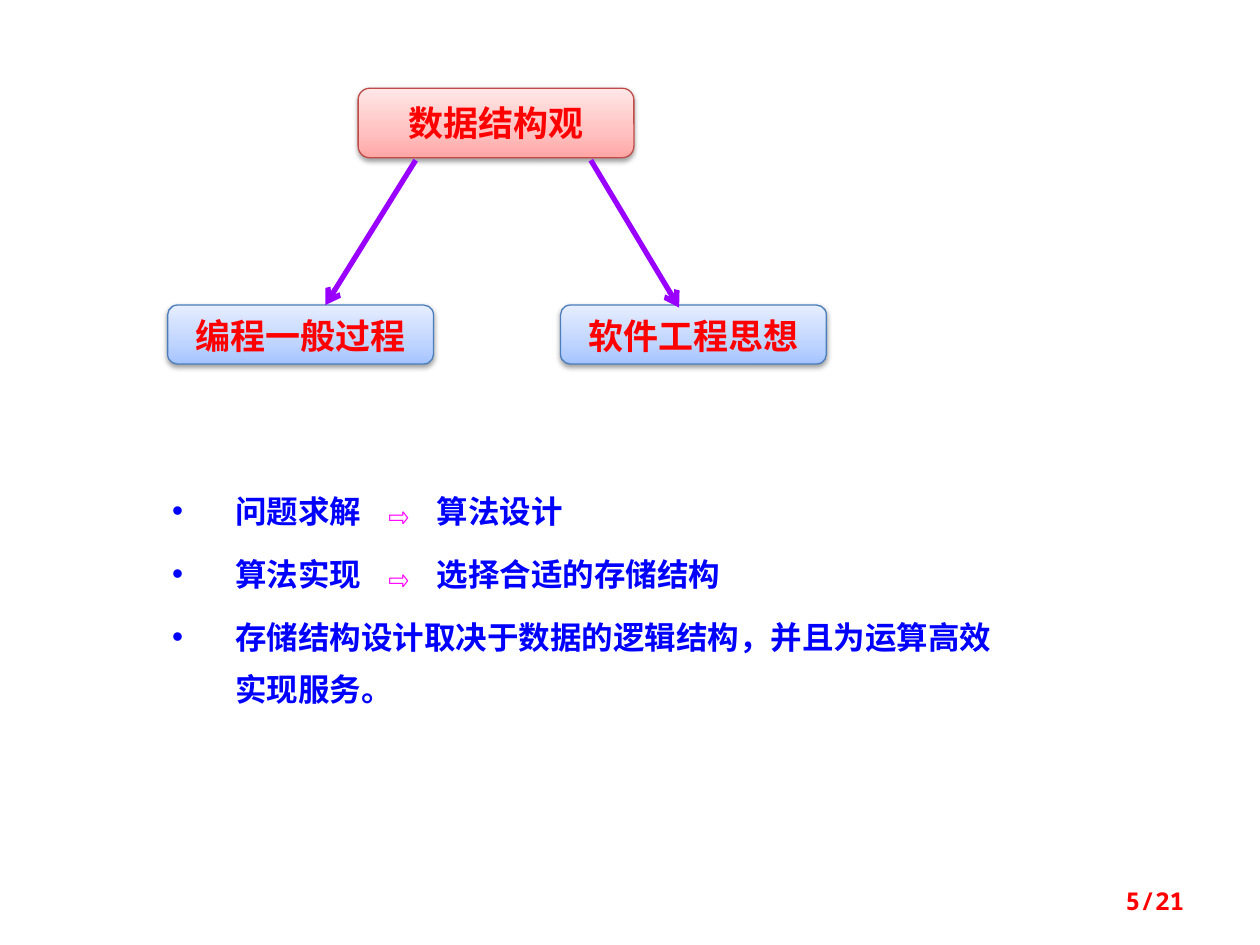
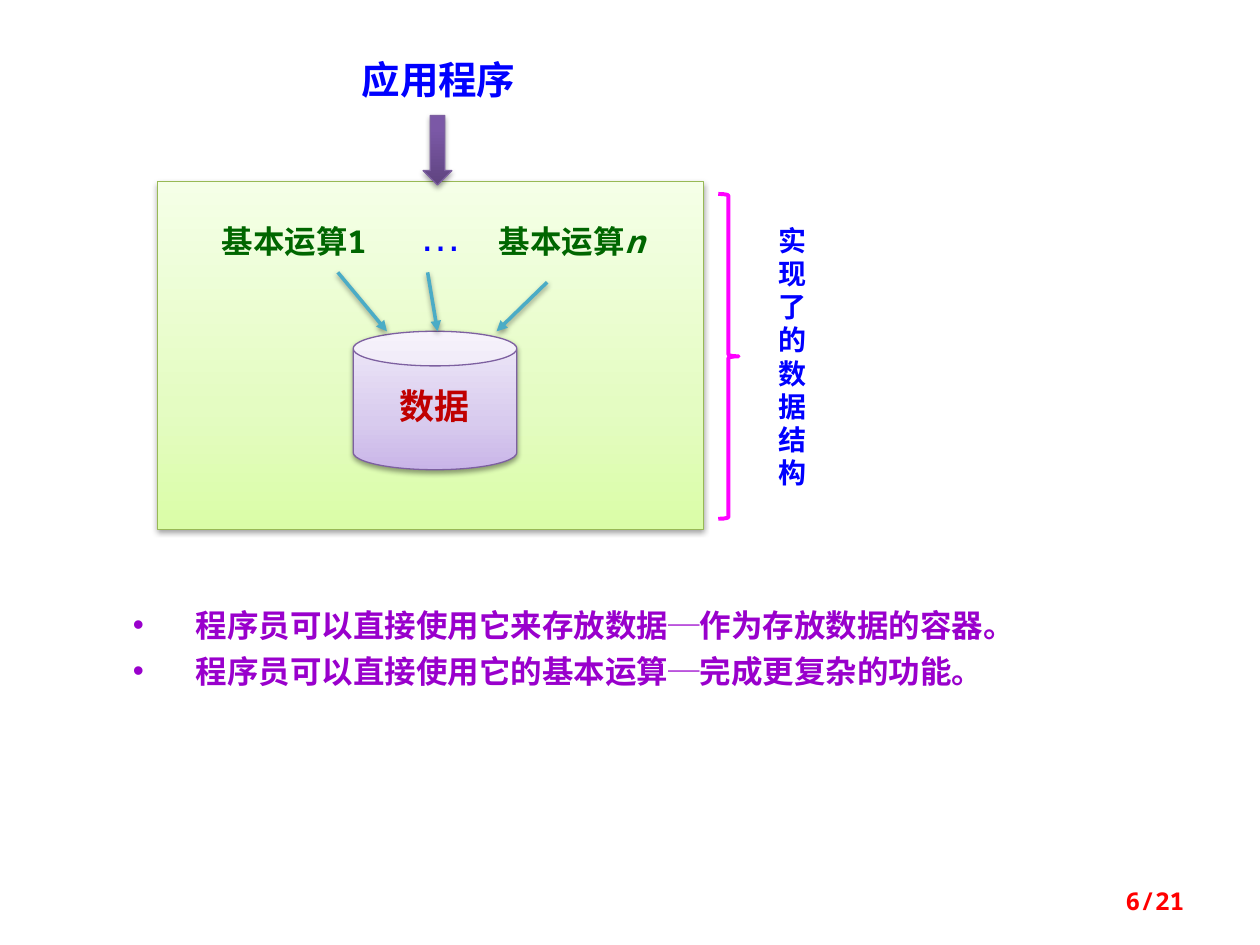
from lxml.etree import SubElement
from pptx import Presentation
from pptx.dml.color import RGBColor as RGB
from pptx.enum.shapes import MSO_CONNECTOR, MSO_SHAPE as SHAPE
from pptx.enum.text import MSO_ANCHOR as ANCHOR, PP_ALIGN as ALIGN
from pptx.oxml.ns import qn
from pptx.util import Cm, Pt

COLORS = {
    "white": "FFFFFF",
    "red": "FF0000",
    "dark_red": "C00000",
    "blue": "0000FF",
    "magenta": "FF00FF",
    "violet": "9900FF",
    "purple": "9900CC",
    "green": "006600",
    "teal": "4BACC6",
    "shadow": "000000",
}
GRADIENTS = {
    "red": ("BF4C48", [(0, "FFA6A5"), (35, "FFC0BF"), (100, "FFE7E7")]),
    "blue": ("4B7EBC", [(0, "A4C4FF"), (35, "BFD4FF"), (100, "E6EEFF")]),
    "green": ("98B955", [(0, "DAFDA7"), (35, "E4FCC2"), (100, "F5FFE7")]),
    "lilac": ("7D60A0", [(0, "C9B5E8"), (35, "D8CBEE"), (100, "F0EAF9")]),
    "plum": ("7D60A0", [(0, "5F4480"), (80, "7B58A6"), (100, "7C57A8")]),
}
SANS, SANS_JP, MONO = "Noto Sans CJK SC", "Noto Sans CJK JP", "Noto Sans Mono"
PAGE_COUNT = 21


def rgb(name):
    return RGB.from_string(COLORS[name])


def add_shadow(effects):
    shadow = SubElement(effects, qn("a:outerShdw"), blurRad="39400", dist="20300",
                        dir="5400000", rotWithShape="0")
    color = SubElement(shadow, qn("a:srgbClr"), val=COLORS["shadow"])
    SubElement(color, qn("a:alpha"), val="38000")


def add_box(slide, kind, x, y, w, h):
    sp = slide.shapes.add_shape(kind, Cm(x), Cm(y), Cm(w), Cm(h))
    sp.shadow.inherit = False
    return sp


def add_gradient_box(slide, kind, x, y, w, h, gradient):
    sp = add_box(slide, kind, x, y, w, h)
    outline, stops = GRADIENTS[gradient]
    sp.fill.gradient()
    sp.fill.gradient_angle = 90
    sp_pr = sp._element.spPr
    stop_list = sp_pr.find(qn("a:gradFill")).find(qn("a:gsLst"))
    for stop in list(stop_list):
        stop_list.remove(stop)
    for pos, color in stops:
        stop = SubElement(stop_list, qn("a:gs"), pos=str(pos * 1000))
        SubElement(stop, qn("a:srgbClr"), val=color)
    sp.line.color.rgb = RGB.from_string(outline)
    sp.line.width = Pt(0.75)
    add_shadow(sp_pr.find(qn("a:effectLst")))
    return sp


def add_arrow(slide, x1, y1, x2, y2, color, width, head, shadow=False):
    line = slide.shapes.add_connector(MSO_CONNECTOR.STRAIGHT, Cm(x1), Cm(y1), Cm(x2), Cm(y2))
    line.line.color.rgb = rgb(color)
    line.line.width = Pt(width)
    sp_pr = line._element.spPr
    SubElement(sp_pr.find(qn("a:ln")), qn("a:tailEnd"), type=head)
    effects = SubElement(sp_pr, qn("a:effectLst"))
    if shadow:
        add_shadow(effects)


def write(sp, paragraphs, size, color, font=SANS, bold=True, align=ALIGN.CENTER,
          anchor=ANCHOR.TOP, spacing=None, before=0, bullet=False, tracking=0):
    tf = sp.text_frame
    tf.word_wrap = True
    tf.vertical_anchor = anchor
    for i, runs in enumerate(paragraphs):
        p = tf.add_paragraph() if i else tf.paragraphs[0]
        p.alignment = align
        p.line_spacing = spacing
        p.space_before = Pt(before if i else 0)
        p_pr = p._p.get_or_add_pPr()
        if bullet:
            p_pr.set("marL", str(Cm(1.27)))
            p_pr.set("indent", str(-Cm(1.27)))
            SubElement(p_pr, qn("a:buFont"), typeface="Arial")
            SubElement(p_pr, qn("a:buChar"), char="•")
        p.font.size = Pt(size)
        p.font.bold = bold
        p.font.color.rgb = rgb(color)
        p.font.name = font
        def_rpr = p_pr.find(qn("a:defRPr"))
        SubElement(def_rpr, qn("a:ea"), typeface=font)
        if tracking:
            def_rpr.set("spc", str(tracking * 100))
        for text, accent, italic in runs:
            r = p.add_run()
            r.text = text
            if accent:
                r.font.color.rgb = rgb(accent)
            if italic:
                r.font.italic = True
    return tf


def plain(text):
    return [(text, None, False)]


def implies(cause, result):
    return [(cause + " ", None, False), ("⇨", "magenta", False), (" " + result, None, False)]


def add_label(slide, x, y, w, h, runs, size, color, **style):
    sp = slide.shapes.add_textbox(Cm(x), Cm(y), Cm(w), Cm(h))
    return write(sp, [runs], size, color, **style)


def add_bullets(slide, x, y, w, h, paragraphs, color, **style):
    sp = add_box(slide, SHAPE.RECTANGLE, x, y, w, h)
    sp.fill.solid()
    sp.fill.fore_color.rgb = rgb("white")
    sp.line.fill.background()
    tf = write(sp, paragraphs, 18, color, align=ALIGN.LEFT, bullet=True, **style)
    tf.margin_left = Cm(0.5)
    tf.margin_top = tf.margin_bottom = Cm(0.3)


def add_page_number(slide, number):
    add_label(slide, 18.21, 17.65, 5.92, 1.02, plain(f"{number}/{PAGE_COUNT}"), 14, "red",
              font=MONO, align=ALIGN.RIGHT, anchor=ANCHOR.MIDDLE)


def add_view_tree(slide, x, y):
    root = add_gradient_box(slide, SHAPE.ROUNDED_RECTANGLE, x + 3.84, y, 5.56, 1.4, "red")
    write(root, [plain("数据结构观")], 20, "red").margin_top = Cm(0.2)
    for i, text in enumerate(["编程一般过程", "软件工程思想"]):
        branch = add_gradient_box(slide, SHAPE.ROUNDED_RECTANGLE, x + i * 7.92, y + 4.37,
                                  5.36, 1.19, "blue")
        write(branch, [plain(text)], 20, "red")
    for x1, x2, y2 in [(5, 3.18, 4.37), (8.53, 10.31, 4.42)]:
        add_arrow(slide, x + x1, y + 1.45, x + x2, y + y2, "violet", 3, "arrow")


def add_container(slide, x, y, w, h):
    add_gradient_box(slide, SHAPE.RECTANGLE, x, y, w, h, "green")
    store = add_gradient_box(slide, SHAPE.CAN, x + 3.94, y + 3.02, 3.3, 2.79, "lilac")
    write(store, [plain("数据")], 20, "dark_red", anchor=ANCHOR.MIDDLE,
          spacing=0.8).word_wrap = False
    for dx, mark, italic in [(1.04, "1", False), (6.63, "n", True)]:
        runs = plain("基本运算") + [(mark, None, italic)]
        add_label(slide, x + dx, y + 0.84, 3.81, 1.02, runs, 18, "green",
                  font=MONO, align=ALIGN.LEFT, spacing=0.8)
    add_label(slide, x + 5.03, y + 0.64, 1.4, 1.07, plain("…"), 24, "blue",
              font="Arial", bold=False, align=ALIGN.LEFT, spacing=0.8)
    for x1, y1, x2 in [(3.63, 1.83, 4.62), (7.85, 2.03, 6.83), (5.44, 1.83, 5.64)]:
        add_arrow(slide, x + x1, y + y1, x + x2, y + 3.02, "teal", 2, "triangle", shadow=True)


def add_caller(slide, x, y):
    add_label(slide, x, y, 4.78, 1.19, plain("应用程序"), 22, "blue", spacing=0.8)
    add_gradient_box(slide, SHAPE.DOWN_ARROW, x + 2.08, y + 1.14, 0.58, 1.4, "plum")


def add_side_note(slide, x, y, h):
    tf = add_label(slide, x + 0.74, y + 0.41, 1.07, 6.02, plain("实现了的数据结构"), 16, "blue",
                   spacing=0.8, tracking=3)
    tf._txBody.bodyPr.set("vert", "eaVert")
    brace = add_box(slide, SHAPE.RIGHT_BRACE, x, y, 0.41, h)
    brace.fill.background()
    brace.line.color.rgb = rgb("magenta")
    brace.line.width = Pt(2.25)


def build_view_slide(slide):
    add_view_tree(slide, 3.38, 1.78)
    add_bullets(slide, 2.97, 9.32, 17.65, 5.31, [
        implies("问题求解", "算法设计"),
        implies("算法实现", "选择合适的存储结构"),
        plain("存储结构设计取决于数据的逻辑结构，并且为运算高效实现服务。"),
    ], "blue", font=MONO, spacing=Pt(30), before=6)


def build_container_slide(slide):
    add_bullets(slide, 2.18, 11.91, 18.64, 2.54, [
        plain("程序员可以直接使用它来存放数据─作为存放数据的容器。"),
        plain("程序员可以直接使用它的基本运算─完成更复杂的功能。"),
    ], "purple", font=SANS_JP, before=5)
    add_container(slide, 3.18, 3.66, 11, 7.01)
    add_caller(slide, 6.45, 1.19)
    add_side_note(slide, 14.48, 3.91, 6.55)


def main():
    prs = Presentation()
    prs.slide_width, prs.slide_height = Cm(25.4), Cm(19.05)
    for number, build in enumerate([build_view_slide, build_container_slide], start=5):
        slide = prs.slides.add_slide(prs.slide_layouts[6])
        build(slide)
        add_page_number(slide, number)
    prs.save("out.pptx")


if __name__ == "__main__":
    main()
